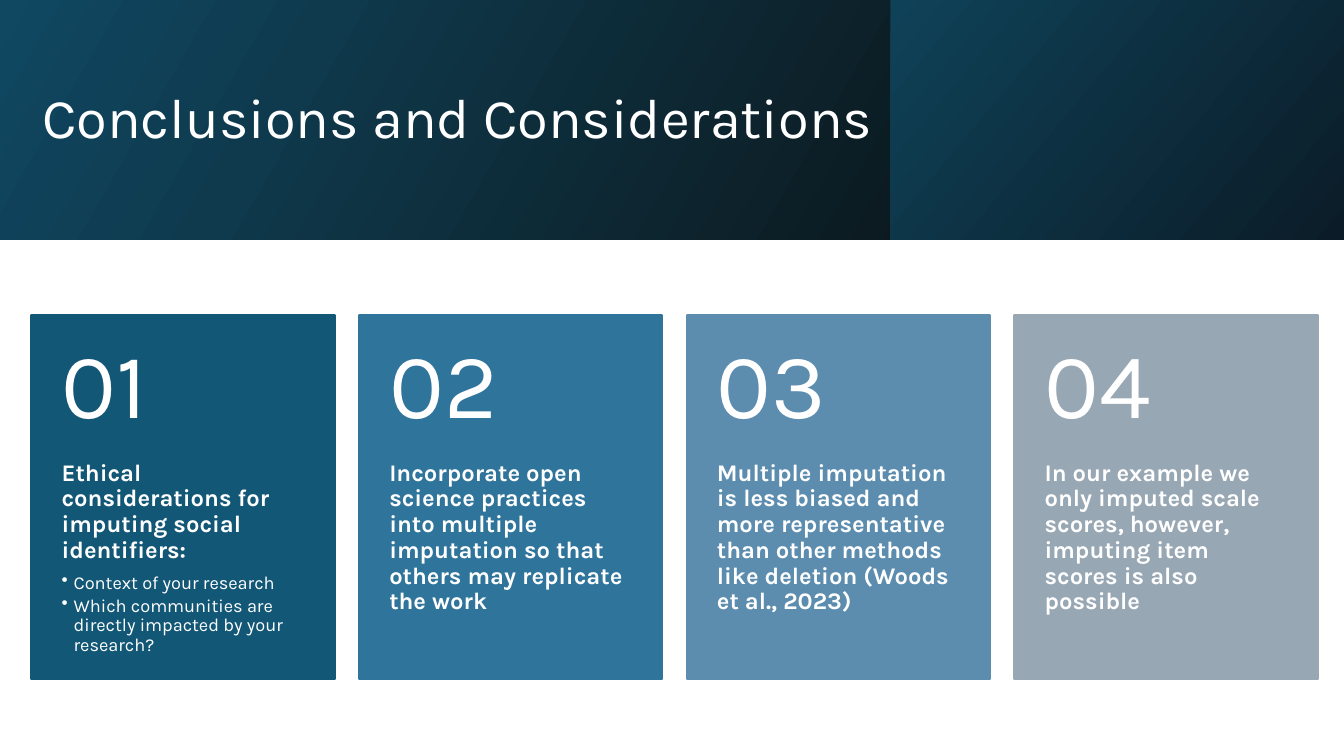
import lxml.etree
import pptx
import pptx.dml.color
import pptx.enum.shapes
import pptx.enum.text
import pptx.oxml.ns
import pptx.util

MIDDLE = pptx.enum.text.MSO_ANCHOR.MIDDLE
TOP = pptx.enum.text.MSO_ANCHOR.TOP

CARDS = [
    ("135776", "Ethical considerations for imputing social identifiers:",
     ["Context of your research",
      "Which communities are directly impacted by your research?"]),
    ("2F749B", "Incorporate open science practices into multiple imputation "
     "so that others may replicate the work", []),
    ("5C8DAF", "Multiple imputation is less biased and more representative "
     "than other methods like deletion (Woods et al., 2023)", []),
    ("98A7B4", "In our example we only imputed scale scores, however, "
     "imputing item scores is also possible", []),
]


def color(value):
    return pptx.dml.color.RGBColor.from_string(value)


class SlideBuilder:
    """Holds the style and the slide; boxes are given in percent of the slide."""

    font = "Karla"
    ink = "FFFFFF"

    def __init__(self, presentation):
        self.width = presentation.slide_width
        self.height = presentation.slide_height
        self.slide = presentation.slides.add_slide(presentation.slide_layouts[6])

    def place(self, left, top, width, height):
        return (round(self.width * left / 100), round(self.height * top / 100),
                round(self.width * width / 100), round(self.height * height / 100))

    def rectangle(self, box):
        shape = self.slide.shapes.add_shape(
            pptx.enum.shapes.MSO_SHAPE.RECTANGLE, *self.place(*box))
        shape.shadow.inherit = False
        return shape

    def panel(self, box, fill):
        shape = self.rectangle(box)
        shape.fill.solid()
        shape.fill.fore_color.rgb = color(fill)
        shape.line.color.rgb = color(fill)
        shape.line.width = pptx.util.Pt(1.5)

    def gradient(self, box, start, end, angle):
        shape = self.rectangle(box)
        shape.line.fill.background()
        shape.fill.gradient()
        shape.fill.gradient_angle = angle
        for stop, value in zip(shape.fill.gradient_stops, (start, end)):
            stop.color.rgb = color(value)

    def text_frame(self, box, insets, anchor):
        """Adds a text box with insets in inches: left, top, right, bottom."""
        frame = self.slide.shapes.add_textbox(*self.place(*box)).text_frame
        frame.word_wrap = True
        frame.vertical_anchor = anchor
        (frame.margin_left, frame.margin_top,
         frame.margin_right, frame.margin_bottom) = map(pptx.util.Inches, insets)
        return frame

    def add_text(self, paragraph, text, size, bold=False, after=0):
        paragraph.line_spacing = 0.9
        paragraph.space_after = pptx.util.Pt(after)
        run = paragraph.add_run()
        run.text = text
        run.font.name = self.font
        run.font.size = pptx.util.Pt(size)
        run.font.bold = bold
        run.font.color.rgb = color(self.ink)

    def bullet(self, paragraph, text):
        self.add_text(paragraph, text, 13, after=2.5)
        indent = pptx.util.Inches(0.12)
        properties = paragraph._p.get_or_add_pPr()
        properties.set("lvl", "1")
        properties.set("marL", str(indent))
        properties.set("indent", str(-indent))
        mark = lxml.etree.SubElement(properties, pptx.oxml.ns.qn("a:buChar"))
        mark.set("char", "•")

    def card(self, index, fill, heading, points):
        left, width = 2.33 + 24.38 * index, 22.58
        self.panel((left, 41.73, width, 48.13), fill)
        body = self.text_frame((left, 60.93, width, 28.8), (0.3, 0, 0.3, 0.36), TOP)
        self.add_text(body.paragraphs[0], heading, 17, bold=True, after=7)
        for point in points:
            self.bullet(body.add_paragraph(), point)
        number = self.text_frame((left, 41.73, width, 19.2),
                                 (0.3, 0.18, 0.3, 0.18), MIDDLE)
        self.add_text(number.paragraphs[0], f"{index + 1:02}", 66)


def main():
    presentation = pptx.Presentation()
    presentation.slide_width = pptx.util.Inches(13.33)
    presentation.slide_height = pptx.util.Inches(7.5)
    builder = SlideBuilder(presentation)

    builder.gradient((0, 0, 100, 31.7), "104862", "0A0602", 330)
    builder.gradient((66.25, 0, 33.75, 31.7), "0F4258", "0B1C28", 320)
    title = builder.text_frame((2.4, 4.4, 79.74, 22.93), (0.1, 0.05, 0.1, 0.05), MIDDLE)
    builder.add_text(title.paragraphs[0], "Conclusions and Considerations", 40)

    for index, card in enumerate(CARDS):
        builder.card(index, *card)
    presentation.save("out.pptx")


if __name__ == "__main__":
    main()
